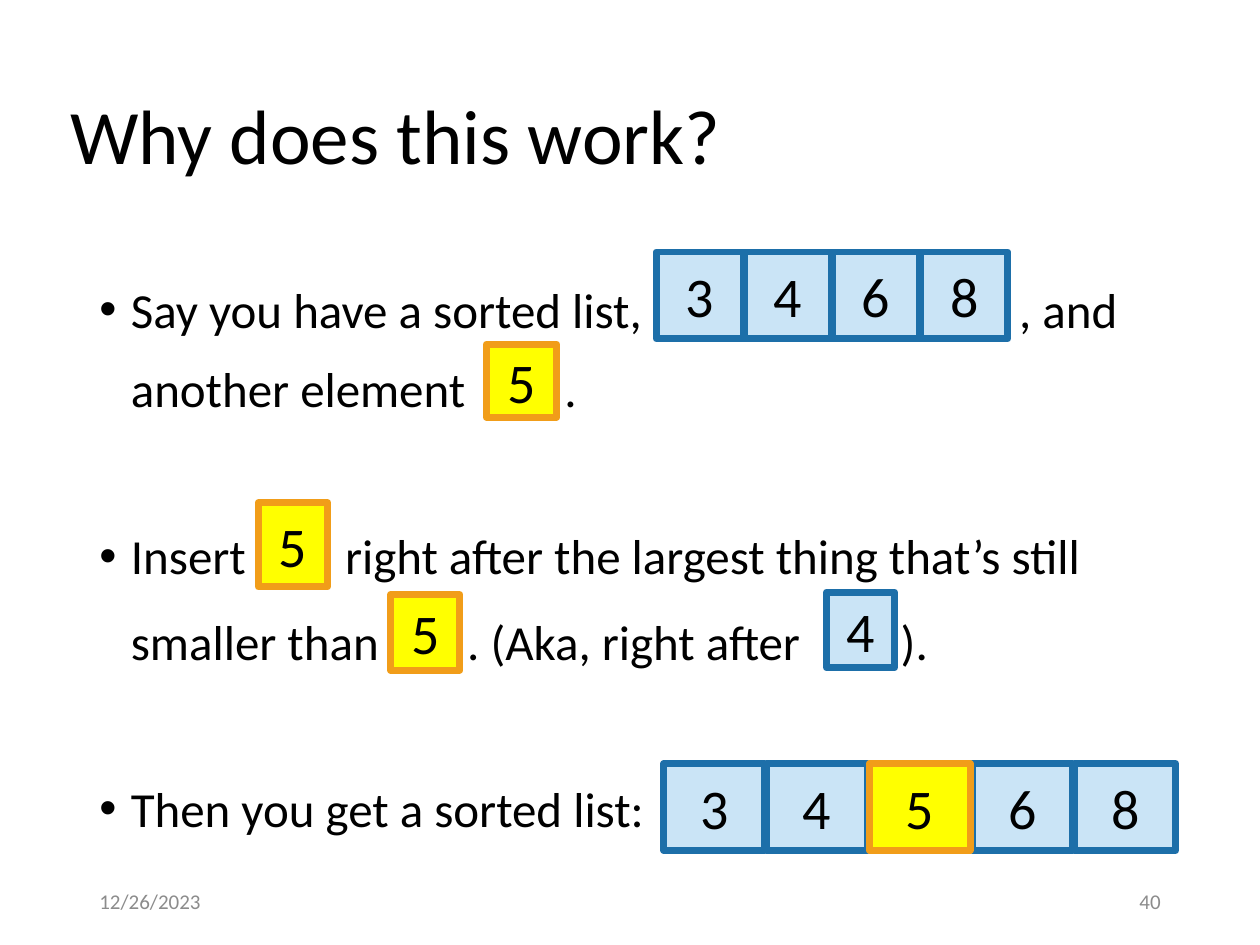
from lxml.etree import SubElement
from pptx import Presentation
from pptx.dml.color import RGBColor
from pptx.enum.shapes import MSO_SHAPE
from pptx.enum.text import MSO_ANCHOR, PP_ALIGN
from pptx.oxml.ns import qn
from pptx.util import Pt

BLACK = RGBColor(0x00, 0x00, 0x00)
GRAY = RGBColor(0x8C, 0x8C, 0x8C)
PALE_BLUE = RGBColor(0xCA, 0xE4, 0xF6)
BLUE = RGBColor(0x1D, 0x6F, 0xA9)
YELLOW = RGBColor(0xFF, 0xFF, 0x00)
ORANGE = RGBColor(0xF1, 0x9D, 0x19)


def write(para, text, size=28, color=BLACK, align=PP_ALIGN.LEFT,
          line_spacing=1.0, space_before=0, font="Calibri"):
    """Put formatted text into a paragraph."""
    span = para.add_run()
    span.text = text
    span.font.name = font
    span.font.size = Pt(size)
    span.font.color.rgb = color
    para.alignment = align
    para.line_spacing = line_spacing
    para.space_before = Pt(space_before)


class SlideBuilder:
    INDENT = 18
    BORDER = 4

    def __init__(self, slide):
        self.slide = slide

    def text_box(self, left, top, width, height, anchor=MSO_ANCHOR.MIDDLE):
        box = self.slide.shapes.add_textbox(Pt(left), Pt(top), Pt(width), Pt(height))
        frame = box.text_frame
        frame.word_wrap = True
        frame.vertical_anchor = anchor
        return frame

    def label(self, text, left, top, width, height, **style):
        frame = self.text_box(left, top, width, height)
        write(frame.paragraphs[0], text, **style)

    def bullets(self, items, left, top, width, height):
        """Each item is text, tab stops and paragraph format."""
        frame = self.text_box(left, top, width, height, MSO_ANCHOR.TOP)
        for index, (text, tabs, style) in enumerate(items):
            para = frame.add_paragraph() if index else frame.paragraphs[0]
            properties = para._p.get_or_add_pPr()
            properties.set("marL", str(Pt(self.INDENT)))
            properties.set("indent", str(-Pt(self.INDENT)))
            SubElement(properties, qn("a:buFont"), typeface="Arial")
            SubElement(properties, qn("a:buChar"), char="•")
            if tabs:
                tab_list = SubElement(properties, qn("a:tabLst"))
                for stop in tabs:
                    SubElement(tab_list, qn("a:tab"), pos=str(Pt(stop)), algn="l")
            write(para, text, **style)

    def cell(self, value, left, top, width, height, highlight=False):
        box = self.slide.shapes.add_shape(
            MSO_SHAPE.RECTANGLE, Pt(left), Pt(top), Pt(width), Pt(height))
        box.shadow.inherit = False
        box.fill.solid()
        box.fill.fore_color.rgb = YELLOW if highlight else PALE_BLUE
        box.line.color.rgb = ORANGE if highlight else BLUE
        box.line.width = Pt(self.BORDER)
        box.text_frame.vertical_anchor = MSO_ANCHOR.MIDDLE
        write(box.text_frame.paragraphs[0], value, size=32, align=PP_ALIGN.CENTER)

    def cell_row(self, values, left, top, width, height, step, inserted=None):
        # The inserted value goes last so that its border lies on top
        for index, value in sorted(enumerate(values), key=lambda pair: pair[1] == inserted):
            self.cell(value, left + index * step, top, width, height, value == inserted)


def main():
    deck = Presentation()
    deck.slide_width, deck.slide_height = Pt(720), Pt(540)
    page = SlideBuilder(deck.slides.add_slide(deck.slide_layouts[6]))

    # Title
    page.label("Why does this work?", 33, 27.4, 620.6, 104.4, size=44, line_spacing=0.9)

    # Explanation, with tab stops leaving room for the cells
    page.bullets([
        ("Say you have a sorted list,\t, and another element\t.",
         (265.7, 525.6), {"line_spacing": Pt(45.6)}),
        ("Insert\tright after the largest thing that’s still smaller than\t. "
         "(Aka, right after\t).",
         (140.4, 210.2, 457.9), {"line_spacing": Pt(48.6), "space_before": 46.8}),
        ("Then you get a sorted list:",
         (), {"line_spacing": 0.8, "space_before": 68.6}),
    ], 49.7, 144, 620.6, 342.7)

    # Sorted list before the insertion
    page.cell_row("3468", 375, 144, 49.7, 49.7, step=50.4)

    # Single elements within the sentences
    page.cell("5", 277.9, 196.6, 40.3, 41.8, highlight=True)
    page.cell("5", 147.6, 287.3, 39.6, 48.2, highlight=True)
    page.cell("5", 223.2, 339.8, 39.6, 43.2, highlight=True)
    page.cell("4", 472.3, 338.4, 38.9, 43.2)

    # Sorted list after the insertion
    page.cell_row("34568", 379.4, 436.3, 57.6, 49.7, step=58.7, inserted="5")

    # Footer
    page.label("12/26/2023", 49.7, 500.4, 162, 28.8, size=12, color=GRAY)
    page.label("40", 508.3, 500.4, 162, 28.8, size=12, color=GRAY, align=PP_ALIGN.RIGHT)

    deck.save("out.pptx")


if __name__ == "__main__":
    main()
